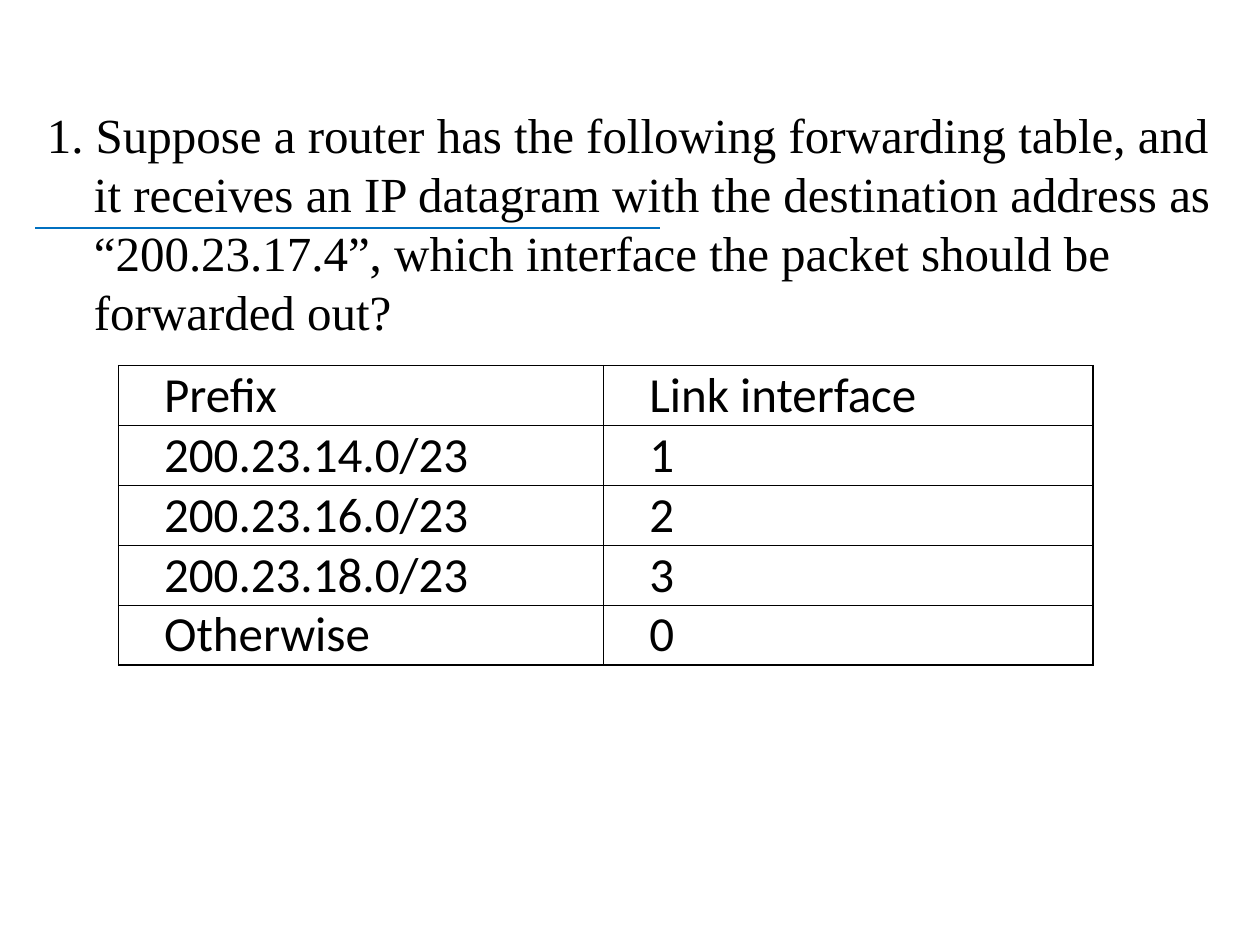
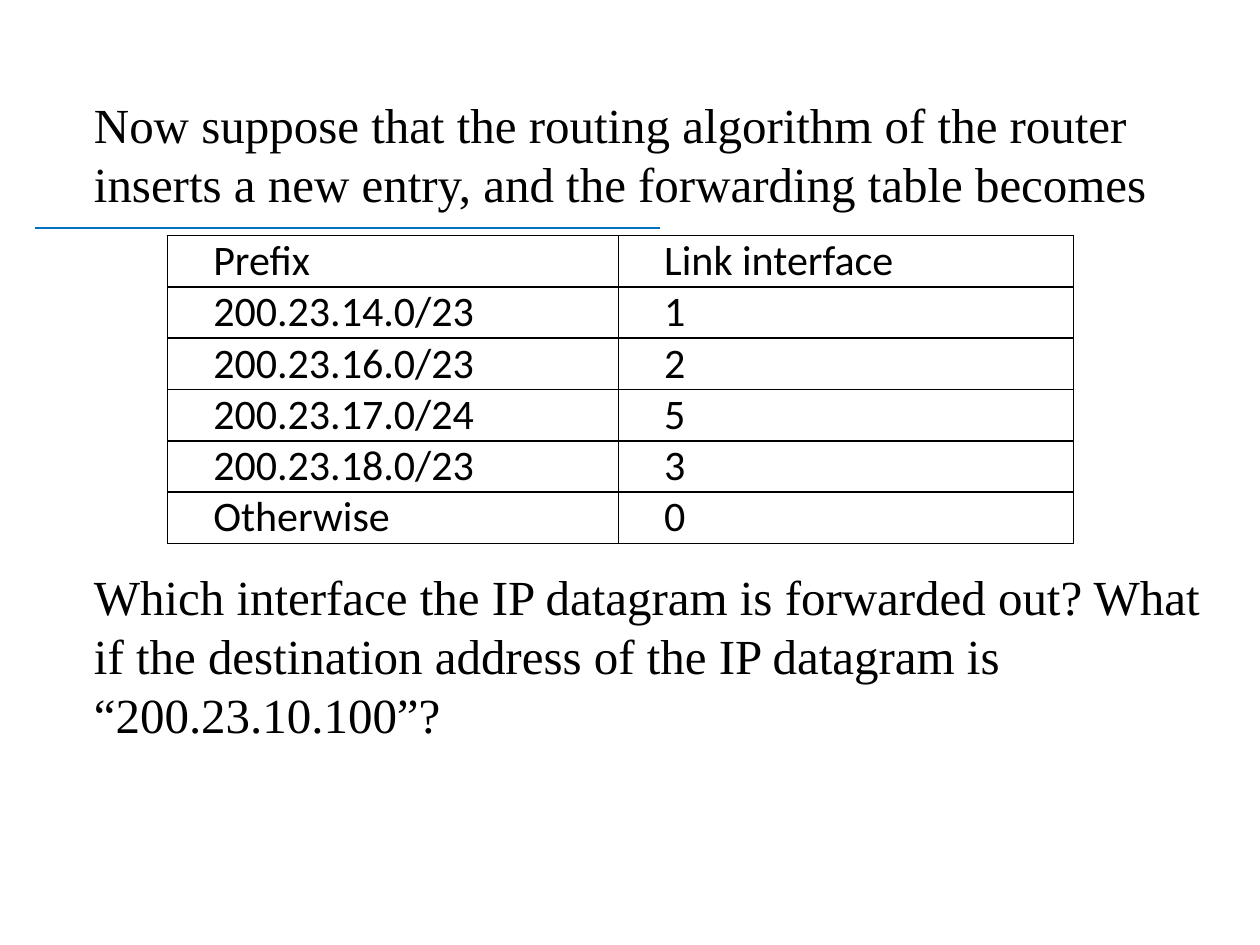
from lxml import etree
from pptx import Presentation
from pptx.dml.color import RGBColor
from pptx.enum import shapes, text
from pptx.oxml import ns
from pptx.util import Cm, Pt

BLACK = RGBColor(0x00, 0x00, 0x00)
BLUE = RGBColor(0x00, 0x70, 0xC0)
HANG = Cm(0.95)


def style(para, font, size):
    para.font.name = font
    para.font.size = Pt(size)
    para.font.bold = False
    para.font.color.rgb = BLACK


def border(cell):
    props = cell._tc.get_or_add_tcPr()
    for pos, side in enumerate(("lnL", "lnR", "lnT", "lnB")):
        line = etree.Element(ns.qn("a:" + side), w=str(Pt(1)))
        fill = etree.SubElement(line, ns.qn("a:solidFill"))
        etree.SubElement(fill, ns.qn("a:srgbClr"), val=str(BLACK))
        props.insert(pos, line)


# Forwarding tables: the second has one more entry
head = ("Prefix", "Link interface")
routes = [("200.23.14.0/23", "1"), ("200.23.16.0/23", "2"),
          ("200.23.18.0/23", "3"), ("Otherwise", "0")]
more = routes[:2] + [("200.23.17.0/24", "5")] + routes[2:]

# Each paragraph: text, first-line indent, space before in points
pages = [
    dict(top=1.98, high=15.06, size=28, rows=[head] + routes,
         grid=(2.39, 7.37, 5.92), cols=(9.78, 9.86),
         paras=[("1. Suppose a router has the following forwarding table, and "
                 "it receives an IP datagram with the destination address as "
                 "“200.23.17.4”, which interface the packet should be "
                 "forwarded out?", -HANG, 1.5)]),
    dict(top=1.78, high=15.24, size=24, rows=[head] + more,
         grid=(3.38, 4.75, 6.1), cols=(9.09, 9.17),
         paras=[("Now suppose that the routing algorithm of the router "
                 "inserts a new entry, and the forwarding table becomes",
                 0, 1.5),
                ("Which interface the IP datagram is forwarded out? What "
                 "if the destination address of the IP datagram is "
                 "“200.23.10.100”?", 0, 202)]),
]

deck = Presentation()
deck.slide_width, deck.slide_height = Cm(25.4), Cm(19.05)

for page in pages:
    slide = deck.slides.add_slide(deck.slide_layouts[1])
    title = slide.shapes.title._element
    title.getparent().remove(title)

    # Question text
    body = slide.placeholders[1]
    body.left, body.top = Cm(0.69), Cm(page["top"])
    body.width, body.height = Cm(24.18), Cm(page["high"])
    frame = body.text_frame
    frame.auto_size = text.MSO_AUTO_SIZE.NONE
    frame.text = "\n".join(words for words, _, _ in page["paras"])
    for para, (_, indent, gap) in zip(frame.paragraphs, page["paras"]):
        style(para, "Times New Roman", 28)
        para.line_spacing = Pt(33.7)
        para.space_before = Pt(gap)
        props = para._p.get_or_add_pPr()
        props.set("marL", str(HANG))
        props.set("indent", str(indent))
        mark = etree.Element(ns.qn("a:buNone"))
        props.find(ns.qn("a:spcBef")).addnext(mark)

    # Blue rule behind the text
    rule = slide.shapes.add_connector(
        shapes.MSO_CONNECTOR.STRAIGHT, Cm(0.71), Cm(4.6), Cm(13.31), Cm(4.6))
    rule.line.color.rgb = BLUE
    rule.line.width = Pt(1.25)
    etree.SubElement(rule._element.spPr, ns.qn("a:effectLst"))
    body._element.addprevious(rule._element)

    # Forwarding table
    rows, cols = page["rows"], page["cols"]
    left, top, high = page["grid"]
    table = slide.shapes.add_table(len(rows), len(cols), Cm(left), Cm(top),
                                   Cm(sum(cols)), Cm(high)).table
    table.first_row = table.horz_banding = False
    for col, wide in zip(table.columns, cols):
        col.width = Cm(wide)
    for r, row in enumerate(rows):
        for c, words in enumerate(row):
            cell = table.cell(r, c)
            cell.text = words
            cell.fill.background()
            cell.margin_left = cell.margin_right = Cm(0.18)
            cell.margin_top = cell.margin_bottom = 0
            border(cell)
            para = cell.text_frame.paragraphs[0]
            style(para, "Calibri", page["size"])
            para.alignment = text.PP_ALIGN.JUSTIFY
            para._p.get_or_add_pPr().set("indent", str(Cm(0.74)))

deck.save("out.pptx")
